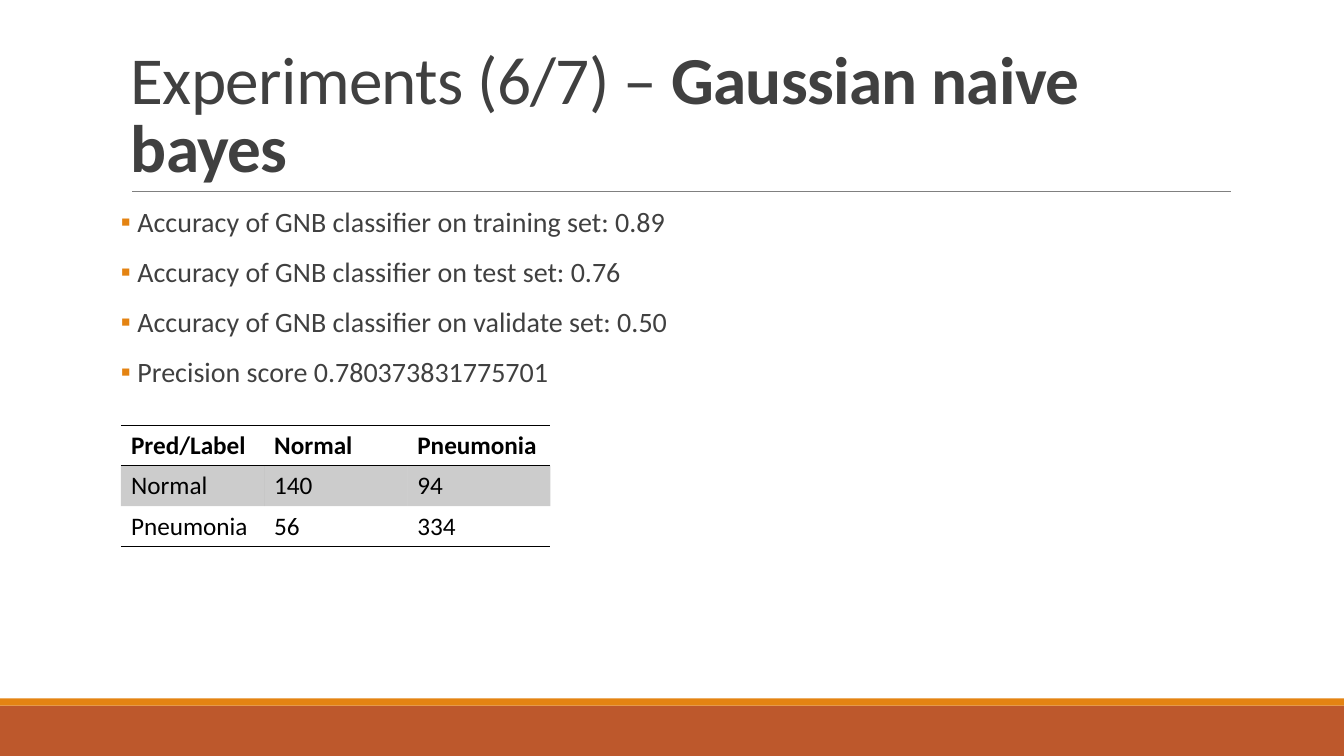
from dataclasses import dataclass

from pptx import Presentation
from pptx.dml.color import RGBColor
from pptx.enum.shapes import MSO_CONNECTOR, MSO_SHAPE
from pptx.enum.text import MSO_ANCHOR
from pptx.oxml.ns import qn
from pptx.util import Inches, Pt
from lxml.etree import SubElement

TITLE_RUNS = [("Experiments (6/7) – ", False), ("Gaussian naive bayes", True)]
RESULTS = [
    " Accuracy of GNB classifier on training set: 0.89",
    " Accuracy of GNB classifier on test set: 0.76",
    " Accuracy of GNB classifier on validate set: 0.50",
    " Precision score 0.780373831775701",
]
CONFUSION_MATRIX = [
    ("Pred/Label", "Normal", "Pneumonia"),
    ("Normal", "140", "94"),
    ("Pneumonia", "56", "334"),
]


@dataclass(frozen=True)
class Theme:
    font: str = "Calibri"
    text: str = "404040"
    black: str = "000000"
    rule: str = "808080"
    orange: str = "E48312"
    rust: str = "BD582C"
    title_size: int = 48
    body_size: int = 20
    table_size: int = 18
    band_opacity: int = 20


THEME = Theme()
SLIDE_WIDTH, SLIDE_HEIGHT = 13.33, 7.5
LEFT, CONTENT_WIDTH = 1.2, 11
COLUMN_WIDTH, ROW_HEIGHT = 1.42, 0.4
NO_STYLE = "{2D5ABB26-0587-4C30-8999-92F81FD0307C}"


def add_run(paragraph, text, size, color, bold=False):
    run = paragraph.add_run()
    run.text = text
    run.font.name = THEME.font
    run.font.size = Pt(size)
    run.font.bold = bold
    run.font.color.rgb = RGBColor.from_string(color)
    return run


def add_text_frame(slide, top, height):
    box = slide.shapes.add_textbox(Inches(LEFT), Inches(top), Inches(CONTENT_WIDTH), Inches(height))
    box.text_frame.word_wrap = True
    return box.text_frame


def add_bar(slide, top, height, color):
    bar = slide.shapes.add_shape(
        MSO_SHAPE.RECTANGLE, 0, Inches(top), Inches(SLIDE_WIDTH), Inches(height))
    bar.shadow.inherit = False
    bar.fill.solid()
    bar.fill.fore_color.rgb = RGBColor.from_string(color)
    bar.line.fill.background()


def add_title_rule(slide):
    rule = slide.shapes.add_connector(
        MSO_CONNECTOR.STRAIGHT, Inches(1.31), Inches(1.9), Inches(12.21), Inches(1.9))
    rule.line.color.rgb = RGBColor.from_string(THEME.rule)
    rule.line.width = Pt(0.5)
    SubElement(rule.element.spPr, qn("a:effectLst"))


def add_title(slide):
    frame = add_text_frame(slide, 0.31, 1.59)
    frame.vertical_anchor = MSO_ANCHOR.BOTTOM
    paragraph = frame.paragraphs[0]
    paragraph.line_spacing = 0.85
    for text, bold in TITLE_RUNS:
        run = add_run(paragraph, text, THEME.title_size, THEME.text, bold)
        run.font.fill.solid()
        run.font.color.rgb = RGBColor.from_string(THEME.text)
        run.font._element.set("spc", "-50")


def set_bullet(paragraph):
    properties = paragraph._p.get_or_add_pPr()
    properties.set("marL", str(Inches(0.1)))
    properties.set("indent", str(-Inches(0.1)))
    color = SubElement(properties, qn("a:buClr"))
    SubElement(color, qn("a:srgbClr"), val=THEME.orange)
    SubElement(properties, qn("a:buFont"), typeface=THEME.font)
    SubElement(properties, qn("a:buChar"), char="▪")


def add_results(slide):
    frame = add_text_frame(slide, 2.02, 4.4)
    frame.margin_left = frame.margin_right = 0
    for index, text in enumerate(RESULTS):
        paragraph = frame.add_paragraph() if index else frame.paragraphs[0]
        paragraph.line_spacing = 0.9
        paragraph.space_before = Pt(12)
        paragraph.space_after = Pt(2)
        set_bullet(paragraph)
        add_run(paragraph, text, THEME.body_size, THEME.text)


def add_border(cell, side):
    line = SubElement(cell._tc.get_or_add_tcPr(), qn(f"a:{side}"), w=str(Pt(1)))
    fill = SubElement(line, qn("a:solidFill"))
    SubElement(fill, qn("a:srgbClr"), val=THEME.black)


def fill_cell(cell, banded):
    if not banded:
        cell.fill.background()
        return
    cell.fill.solid()
    cell.fill.fore_color.rgb = RGBColor.from_string(THEME.black)
    color = cell._tc.tcPr.find(".//" + qn("a:solidFill") + "/" + qn("a:srgbClr"))
    for match in cell._tc.tcPr.findall(qn("a:solidFill") + "/" + qn("a:srgbClr")):
        color = match
    SubElement(color, qn("a:alpha"), val=str(THEME.band_opacity * 1000))


def add_confusion_matrix(slide):
    row_count, column_count = len(CONFUSION_MATRIX), len(CONFUSION_MATRIX[0])
    table = slide.shapes.add_table(
        row_count, column_count, Inches(LEFT), Inches(4.22),
        Inches(COLUMN_WIDTH * column_count), Inches(ROW_HEIGHT * row_count)).table
    table._tbl.tblPr.find(qn("a:tableStyleId")).text = NO_STYLE
    for row, values in enumerate(CONFUSION_MATRIX):
        for column, text in enumerate(values):
            cell = table.cell(row, column)
            add_run(cell.text_frame.paragraphs[0], text, THEME.table_size, THEME.black, row == 0)
            if row == 0:
                add_border(cell, "lnT")
            if row in (0, row_count - 1):
                add_border(cell, "lnB")
            fill_cell(cell, banded=row % 2 == 1)


def main():
    presentation = Presentation()
    presentation.slide_width = Inches(SLIDE_WIDTH)
    presentation.slide_height = Inches(SLIDE_HEIGHT)
    slide = presentation.slides.add_slide(presentation.slide_layouts[6])
    add_bar(slide, 7, 0.5, THEME.rust)
    add_bar(slide, 6.93, 0.07, THEME.orange)
    add_title_rule(slide)
    add_title(slide)
    add_results(slide)
    add_confusion_matrix(slide)
    presentation.save("out.pptx")


if __name__ == "__main__":
    main()
